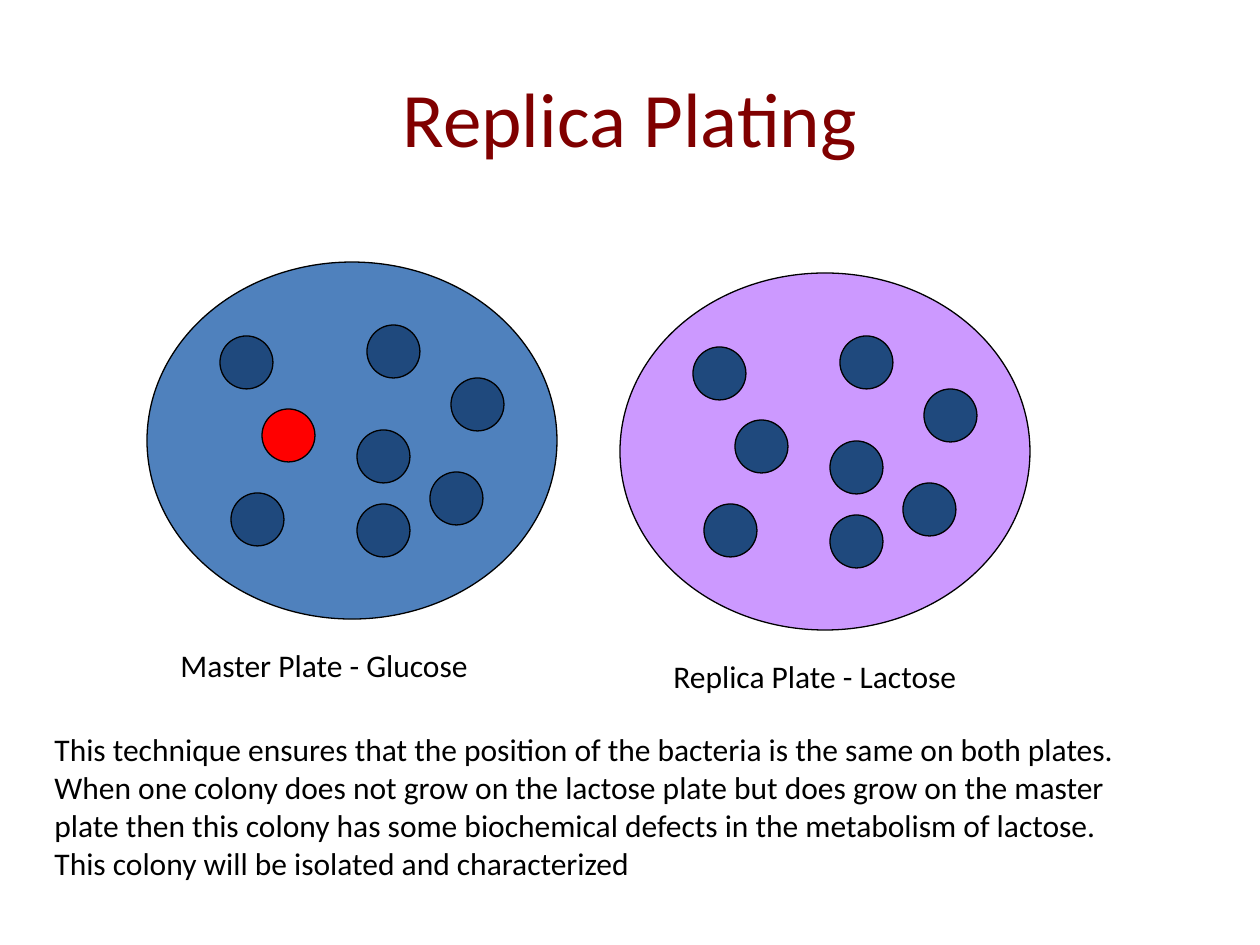
from dataclasses import dataclass

from pptx import Presentation
from pptx.dml.color import RGBColor
from pptx.enum.shapes import MSO_SHAPE
from pptx.enum.text import MSO_ANCHOR, MSO_AUTO_SIZE, PP_ALIGN
from pptx.util import Inches, Pt


@dataclass(frozen=True)
class Theme:
    """Colours, font and type sizes of the slide."""
    font: str = "Calibri"
    title: str = "800000"
    ink: str = "000000"
    master: str = "4F81BD"
    replica: str = "CC99FF"
    colony: str = "1F497D"
    mutant: str = "FF0000"
    head: int = 44
    body: int = 18
    line: float = 0.75


def px(n):
    """Turn px into EMU."""
    return round(n * Inches(1) / 126)


def assign(item, values):
    """Set each named value on an item."""
    for name, value in values.items():
        setattr(item, name, value)


def place(item, box):
    """Move and size an item from a px box."""
    assign(item, dict(zip(("left", "top", "width", "height"), map(px, box))))


class Painter:
    """Draws elements on the current slide in one style."""

    def __init__(self, slide, theme):
        """Keep the slide and the theme."""
        self.slide, self.theme = slide, theme

    def letter(self, frame, lines, size, color, align):
        """Fill a frame with one paragraph per line."""
        frame.text = "\n".join(lines)
        for para in frame.paragraphs:
            para.alignment = align
            assign(para.font, {"name": self.theme.font, "size": Pt(size)})
            para.font.color.rgb = RGBColor.from_string(color)

    def title(self, text, box):
        """Place and format the title."""
        item = self.slide.shapes.title
        place(item, box)
        item.text_frame.vertical_anchor = MSO_ANCHOR.MIDDLE
        self.letter(item.text_frame, [text], self.theme.head,
                    self.theme.title, PP_ALIGN.CENTER)

    def text(self, lines, box):
        """Add a text box."""
        frame = self.slide.shapes.add_textbox(*map(px, box)).text_frame
        self.letter(frame, lines, self.theme.body, self.theme.ink, PP_ALIGN.LEFT)
        assign(frame, {"word_wrap": False,
                       "auto_size": MSO_AUTO_SIZE.SHAPE_TO_FIT_TEXT})

    def oval(self, box, color):
        """Add an outlined ellipse."""
        item = self.slide.shapes.add_shape(MSO_SHAPE.OVAL, *map(px, box))
        item.shadow.inherit = False
        item.fill.solid()
        item.fill.fore_color.rgb = RGBColor.from_string(color)
        item.line.color.rgb = RGBColor.from_string(self.theme.ink)
        item.line.width = Pt(self.theme.line)

    def plate(self, left, top, color, spots, odd):
        """Add a plate with its colonies, the last one in its own colour."""
        self.oval((left, top, 410, 357), color)
        for spot in spots:
            fill = odd if spot == spots[-1] else self.theme.colony
            self.oval((left + spot[0], top + spot[1], 53, 53), fill)


SPOTS = [(73, 74), (283, 210), (220, 63), (210, 242),
         (84, 231), (304, 116), (210, 168), (115, 147)]
NOTES = [
    "This technique ensures that the position of the bacteria is the same on both plates.",
    "When one colony does not grow on the lactose plate but does grow on the master",
    "plate then this colony has some biochemical defects in the metabolism of lactose.",
    "This colony will be isolated and characterized",
]


def main():
    """Build and save the slide."""
    deck = Presentation()
    assign(deck, {"slide_width": px(1260), "slide_height": px(945)})
    theme = Theme()
    pen = Painter(deck.slides.add_slide(deck.slide_layouts[5]), theme)
    pen.title("Replica Plating", (63, 38, 1134, 157))
    pen.plate(147, 262, theme.master, SPOTS, theme.mutant)
    pen.plate(620, 273, theme.replica, SPOTS, theme.colony)
    pen.text(["Master Plate - Glucose"], (168, 640, 345, 50))
    pen.text(["Replica Plate - Lactose"], (661, 651, 349, 50))
    pen.text(NOTES, (42, 724, 1176, 164))
    deck.save("out.pptx")


if __name__ == "__main__":
    main()
